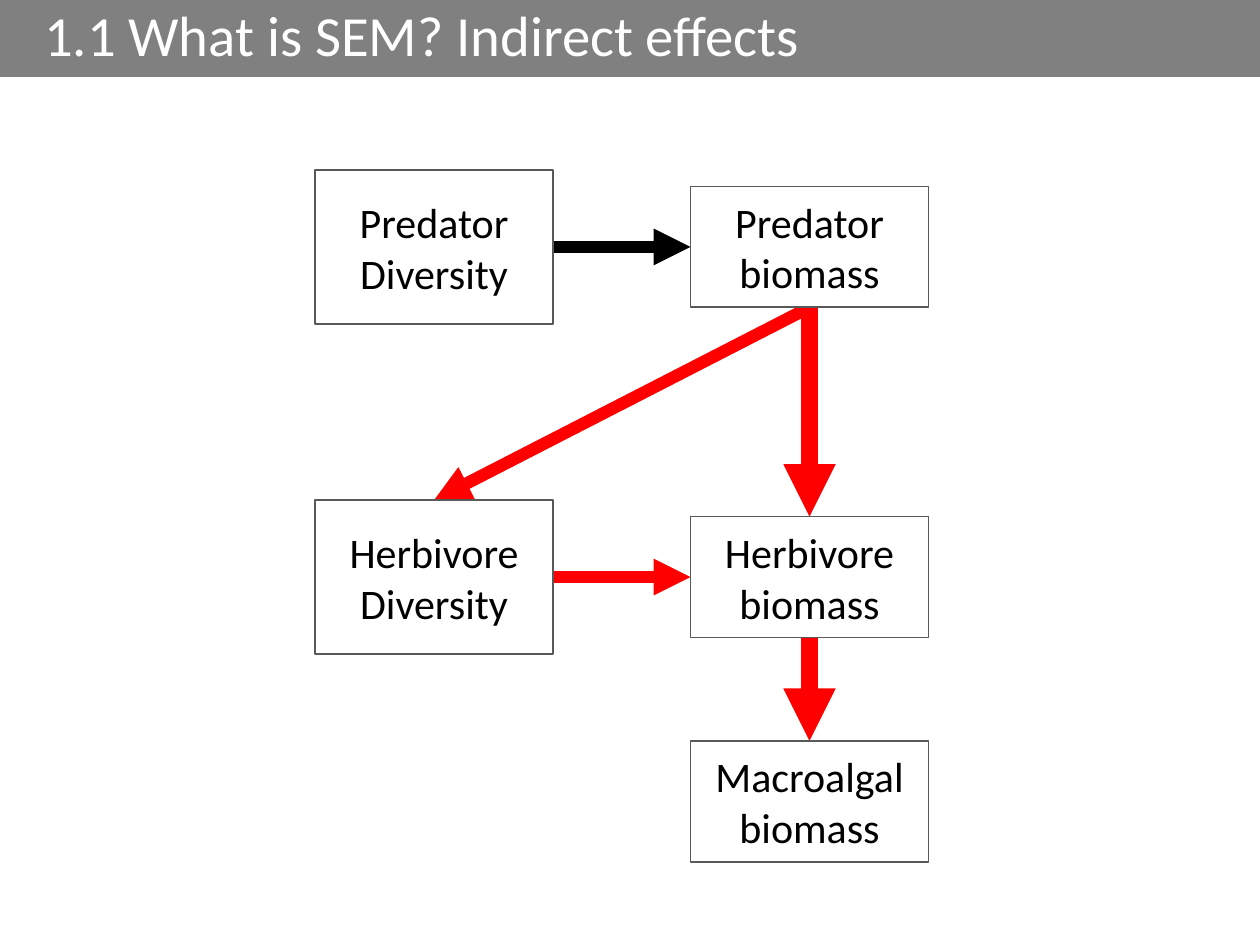
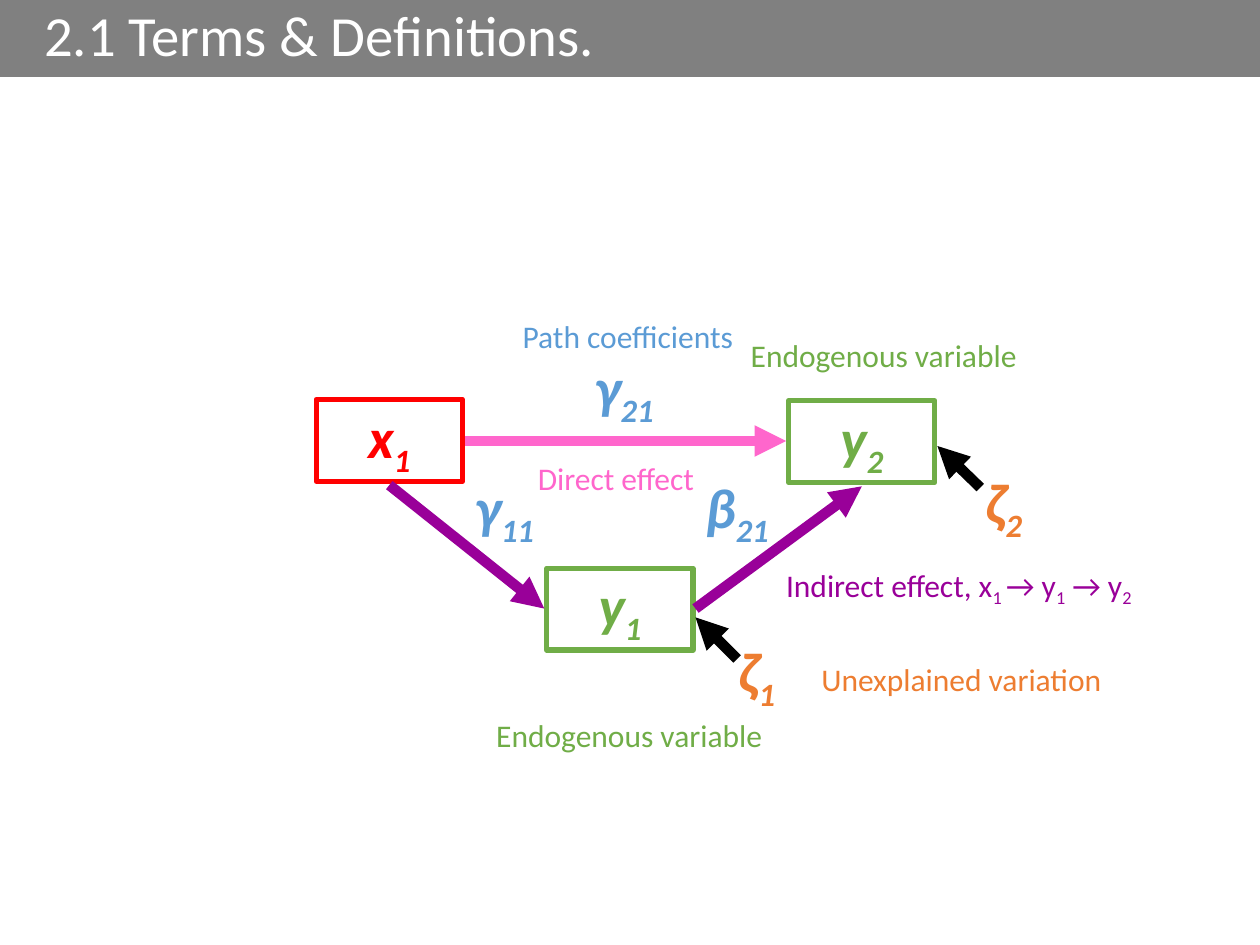
"""Build two slides on structural equation models: an effects diagram and its terms."""
from lxml.etree import SubElement
from pptx import Presentation
from pptx.dml.color import RGBColor
from pptx.enum.shapes import MSO_CONNECTOR, MSO_SHAPE
from pptx.enum.text import MSO_ANCHOR, MSO_AUTO_SIZE, PP_ALIGN
from pptx.oxml.ns import qn
from pptx.util import Emu, Pt

PX = 9144
FONT = "Calibri"
COLOURS = {
    "band": "808080", "white": "FFFFFF", "black": "000000", "outline": "595959",
    "red": "FF0000", "green": "70AD47", "blue": "5B9BD5",
    "orange": "ED7D31", "purple": "990099", "pink": "FF66CC",
}

TITLES = ["1.1 What is SEM? Indirect effects", "2.1 Terms & Definitions."]

COLUMNS = {"Diversity": (250, 122), "biomass": (548, 96)}
ROWS = {"Predator": 196, "Herbivore": 458, "Macroalgal": 636}
VARIABLE_WIDTH = 189
VARIABLES = ["Herbivore biomass", "Macroalgal biomass", "Predator Diversity",
             "Herbivore Diversity", "Predator biomass"]
TOP, LEFT, BOTTOM, RIGHT = range(4)
EFFECTS = [
    ("Predator biomass", BOTTOM, "Herbivore Diversity", TOP, "red", 7),
    ("Predator biomass", BOTTOM, "Herbivore biomass", TOP, "red", 10),
    ("Herbivore biomass", BOTTOM, "Macroalgal biomass", TOP, "red", 10),
    ("Predator Diversity", RIGHT, "Predator biomass", LEFT, "black", 7),
    ("Herbivore Diversity", RIGHT, "Herbivore biomass", LEFT, "red", 7),
]

NODE_SIZE = (116, 65)
NODES = [("x|1", 251, 317, "red"), ("y|1", 434, 451, "green"), ("y|2", 626, 318, "green")]
PATHS = [
    ((309, 385), (432, 483), "purple"),
    ((552, 483), (684, 386), "purple"),
    ((369, 350), (624, 350), "pink"),
    ((585, 523), (552, 490), "black"),
    ((778, 387), (744, 354), "black"),
]
SYMBOLS = [
    ("γ|11", 367, 370, 68, "blue"), ("β|21", 550, 370, 74, "blue"),
    ("γ|21", 462, 275, 68, "blue"),
    ("ζ|1", 576, 500, 56, "orange"), ("ζ|2", 772, 366, 56, "orange"),
]
CAPTIONS = [
    ("Endogenous variable", 586, 262, 240, "green"),
    ("Endogenous variable", 384, 563, 240, "green"),
    ("Path coefficients", 405, 247, 190, "blue"),
    ("Direct effect", 417, 359, 146, "pink"),
    ("Indirect effect, x|1 |→ y|1| → y|2", 614, 444, 308, "purple"),
    ("Unexplained variation", 642, 519, 245, "orange"),
]


def px(*lengths):
    return [Emu(round(length * PX)) for length in lengths]


def rgb(colour):
    return RGBColor.from_string(COLOURS[colour])


def style(font, size, colour, strong=False):
    font.name, font.size = FONT, Pt(size)
    font.bold = font.italic = strong
    font.color.rgb = rgb(colour)


def write_indexed(paragraph, marked, size, colour, strong):
    for position, part in enumerate(marked.split("|")):
        run = paragraph.add_run()
        run.text = part
        style(run.font, size, colour, strong)
        if position % 2:
            run.font._element.set("baseline", "-25000")


def add_titled_slide(deck, heading):
    slide = deck.slides.add_slide(deck.slide_layouts[5])
    title = slide.shapes.title
    title.left, title.top, title.width, title.height = px(0, 0, 1000, 61)
    title.fill.solid()
    title.fill.fore_color.rgb = rgb("band")
    frame = title.text_frame
    frame.text = heading
    frame.auto_size = MSO_AUTO_SIZE.NONE
    frame.vertical_anchor = MSO_ANCHOR.MIDDLE
    frame.margin_left = px(35)[0]
    paragraph = frame.paragraphs[0]
    paragraph.alignment, paragraph.line_spacing = PP_ALIGN.LEFT, 0.9
    style(paragraph.runs[0].font, 32.4, "white")
    return slide


def add_box(slide, left, top, width, height, outline, weight):
    box = slide.shapes.add_shape(MSO_SHAPE.RECTANGLE, *px(left, top, width, height))
    box.shadow.inherit = False
    box.line.color.rgb, box.line.width = rgb(outline), Pt(weight)
    box.text_frame.vertical_anchor = MSO_ANCHOR.MIDDLE
    return box


def add_arrow(slide, start, end, colour, weight):
    arrow = slide.shapes.add_connector(MSO_CONNECTOR.STRAIGHT, *px(*start, *end))
    arrow.line.color.rgb, arrow.line.width = rgb(colour), Pt(weight)
    properties = arrow._element.spPr
    SubElement(properties.find(qn("a:ln")), qn("a:tailEnd"), type="triangle")
    SubElement(properties, qn("a:effectLst"))
    return arrow


def add_label(slide, marked, left, top, width, height, size, colour, strong):
    label = slide.shapes.add_textbox(*px(left, top, width, height))
    label.text_frame.word_wrap = False
    label.text_frame.auto_size = MSO_AUTO_SIZE.SHAPE_TO_FIT_TEXT
    write_indexed(label.text_frame.paragraphs[0], marked, size, colour, strong)


def add_variable(slide, name):
    group, measure = name.split()
    left, height = COLUMNS[measure]
    box = add_box(slide, left, ROWS[group] - height / 2, VARIABLE_WIDTH, height, "outline", 1)
    box.fill.solid()
    box.fill.fore_color.rgb = rgb("white")
    box.text_frame.text = f"{group}\n{measure}"
    for paragraph in box.text_frame.paragraphs:
        paragraph.alignment = PP_ALIGN.CENTER
        style(paragraph.runs[0].font, 24, "black")
    return box


def build_effects(slide):
    arrows = [add_arrow(slide, (0, 0), (0, 0), *look) for *_, look in
              [(effect[:4], effect[4:]) for effect in EFFECTS]]
    boxes = {name: add_variable(slide, name) for name in VARIABLES}
    for arrow, (cause, exit_side, response, entry_side, *_) in zip(arrows, EFFECTS):
        arrow.begin_connect(boxes[cause], exit_side)
        arrow.end_connect(boxes[response], entry_side)


def build_terms(slide):
    for marked, left, top, colour in NODES:
        node = add_box(slide, left, top, *NODE_SIZE, colour, 3)
        node.fill.background()
        paragraph = node.text_frame.paragraphs[0]
        paragraph.alignment = PP_ALIGN.CENTER
        write_indexed(paragraph, marked, 32, colour, True)
    for start, end, colour in PATHS:
        add_arrow(slide, start, end, colour, 6)
    for marked, left, top, width, colour in SYMBOLS:
        add_label(slide, marked, left, top, width, 63, 32, colour, True)
    for marked, left, top, width, colour in CAPTIONS:
        add_label(slide, marked, left, top, width, 40, 18, colour, False)


def main():
    deck = Presentation()
    deck.slide_width, deck.slide_height = px(1000, 750)
    for heading, build in zip(TITLES, [build_effects, build_terms]):
        build(add_titled_slide(deck, heading))
    deck.save("out.pptx")


if __name__ == "__main__":
    main()
